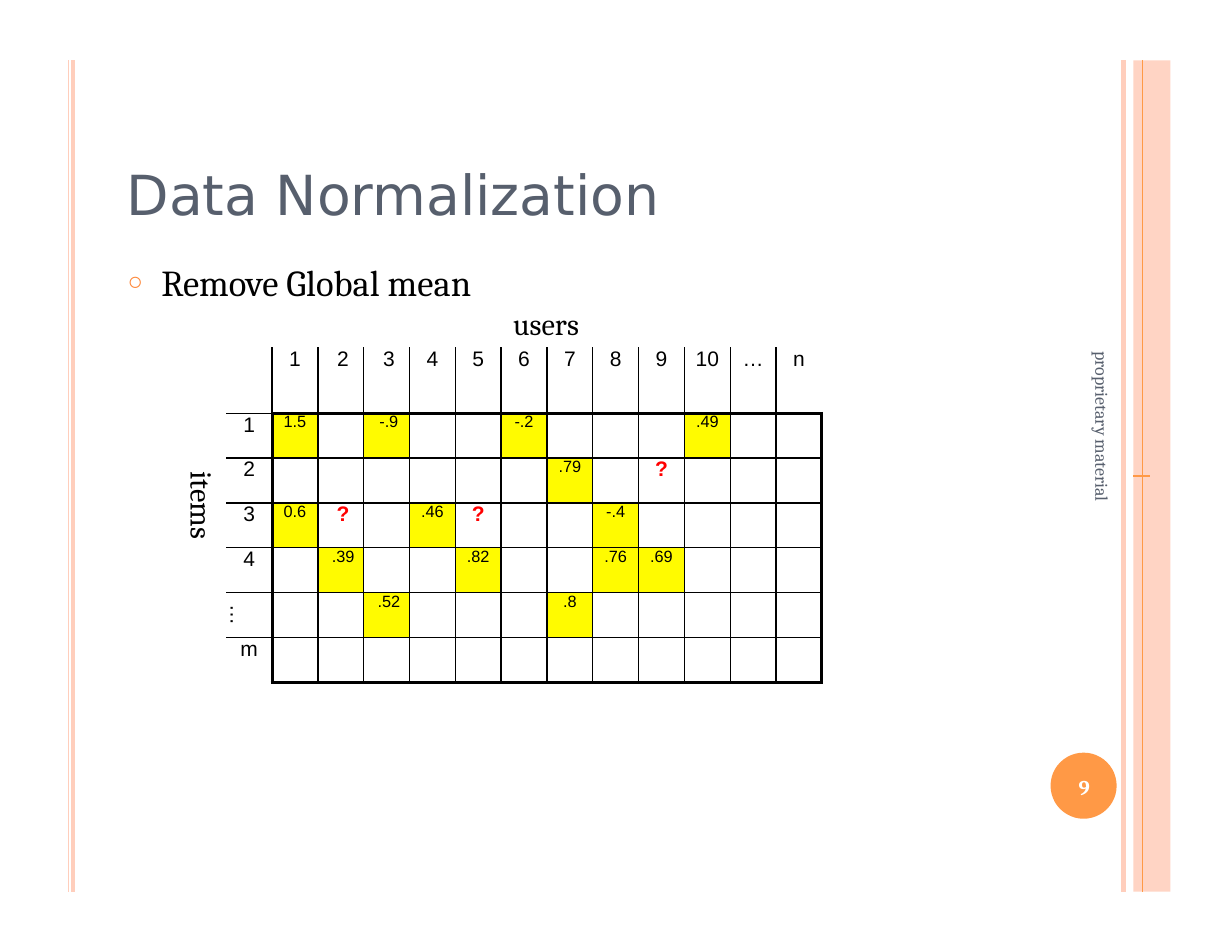
from dataclasses import dataclass
from typing import Any, NamedTuple, Optional

from lxml import etree
from pptx import Presentation
from pptx.dml import color
from pptx.enum import shapes, text
from pptx.oxml import ns
from pptx.util import Emu, Inches, Pt


@dataclass(frozen=True)
class Theme:
    peach: str = "FFCEBC"
    orange: str = "FF9946"
    bullet: str = "FE8637"
    slate: str = "575F6D"
    black: str = "000000"
    white: str = "FFFFFF"
    yellow: str = "FFFB00"
    red: str = "FF0000"
    serif: str = "Cambria"
    sans: str = "Arial"
    display: str = "DejaVu Sans"
    title: float = 35.5
    body: float = 23.5
    axis: float = 19.5
    label: float = 13.5
    footer: float = 11.5
    value: float = 10.5
    thin: float = 0.99
    thick: float = 2.23


class Box(NamedTuple):
    column: float
    row: float
    columns: float
    rows: float


class Rule(NamedTuple):
    box: Box
    colour: str
    weight: float


class Label(NamedTuple):
    words: str
    box: Box
    size: float
    colour: str
    leading: float
    vertical: bool = False
    bold: bool = False
    centred: bool = False


THEME = Theme()
GRID_COLUMNS, GRID_ROWS = 110, 85
WIDTH, HEIGHT = Inches(11), Inches(8.5)
TOP, TALL = 5.4, 74.2

RULES = [
    Rule(Box(100.3, TOP, 0, TALL), THEME.peach, 2.97),
    Rule(Box(6.5, TOP, 0, TALL), THEME.peach, 2.67),
    Rule(Box(6.1, TOP, 0, TALL), THEME.peach, 0.89),
    Rule(Box(101.2, 42.5, 1.5, 0), THEME.orange, 1.48),
    Rule(Box(102, TOP, 0, TALL), THEME.orange, 0.74),
]
LABELS = [
    Label("9", Box(95.4, 69.3, 2.8, 2.2), THEME.label, THEME.white, 15.1, bold=True, centred=True),
    Label("items", Box(16.4, 42.1, 3, 7.3), THEME.axis, THEME.black, 21.1, vertical=True),
    Label("proprietary material", Box(97.4, 31.4, 1.9, 16), THEME.footer, THEME.slate, 13.1, vertical=True),
]
USERS = ["1", "2", "3", "4", "5", "6", "7", "8", "9", "10", "…", "n"]
ITEMS = ["1", "2", "3", "4", "…", "m"]
RATINGS = {
    (1, 1): "1.5", (1, 3): "-.9", (1, 6): "-.2", (1, 10): ".49",
    (2, 7): ".79", (2, 9): "?",
    (3, 1): "0.6", (3, 2): "?", (3, 4): ".46", (3, 5): "?", (3, 8): "-.4",
    (4, 2): ".39", (4, 5): ".82", (4, 8): ".76", (4, 9): ".69",
    (5, 3): ".52", (5, 7): ".8",
}


def place(box: Box) -> tuple[Emu, ...]:
    across, down = WIDTH / GRID_COLUMNS, HEIGHT / GRID_ROWS
    return tuple(Emu(round(n * unit)) for n, unit in zip(box, (across, down, across, down)))


def apply(target: Any, values: dict[str, Any]) -> None:
    for name, value in values.items():
        setattr(target, name, value)


def rgb(code: str) -> color.RGBColor:
    return color.RGBColor.from_string(code)


def write(paragraph: Any, words: str, size: float, colour: str, family: str, bold: bool = False) -> None:
    run = paragraph.add_run()
    run.text = words
    apply(run.font, {"size": Pt(size), "name": family, "bold": bold})
    run.font.color.rgb = rgb(colour)


def prepare(shape: Any, box: Box, top: float = 0) -> Any:
    apply(shape, dict(zip(("left", "top", "width", "height"), place(box))))
    apply(shape.text_frame, {
        "margin_left": 0, "margin_top": Inches(top), "margin_right": 0, "margin_bottom": 0,
        "word_wrap": True, "auto_size": text.MSO_AUTO_SIZE.NONE,
        "vertical_anchor": text.MSO_ANCHOR.TOP,
    })
    return shape.text_frame


def draw_rule(slide: Any, rule: Rule) -> None:
    left, top, width, height = place(rule.box)
    line = slide.shapes.add_connector(shapes.MSO_CONNECTOR.STRAIGHT, left, top, left + width, top + height)
    line.line.color.rgb = rgb(rule.colour)
    line.line.width = Pt(rule.weight)
    etree.SubElement(line.element.spPr, ns.qn("a:effectLst"))


def draw_solid(slide: Any, kind: Any, box: Box, colour: str, opacity: int = 100) -> None:
    shape = slide.shapes.add_shape(kind, *place(box))
    shape.shadow.inherit = False
    shape.fill.solid()
    shape.fill.fore_color.rgb = rgb(colour)
    shape.line.fill.background()
    if opacity < 100:
        fill = next(shape.element.iter(ns.qn("a:srgbClr")))
        etree.SubElement(fill, ns.qn("a:alpha"), val=str(opacity * 1000))


def draw_label(slide: Any, label: Label) -> None:
    shape = slide.shapes.add_textbox(*place(label.box))
    frame = prepare(shape, label.box)
    if label.vertical:
        next(shape.element.iter(ns.qn("a:bodyPr"))).set("vert", "vert")
    paragraph = frame.paragraphs[0]
    paragraph.line_spacing = Pt(label.leading)
    if label.centred:
        paragraph.alignment = text.PP_ALIGN.CENTER
    write(paragraph, label.words, label.size, label.colour, THEME.serif, label.bold)


def fill_placeholders(slide: Any) -> None:
    title = prepare(slide.shapes.title, Box(11.3, 9.9, 87.3, 10.4), 0.44).paragraphs[0]
    title.alignment = text.PP_ALIGN.LEFT
    write(title, "Data Normalization", THEME.title, THEME.slate, THEME.display)

    frame = prepare(slide.placeholders[1], Box(11.3, 23.2, 40.4, 7.3))
    topic, users = frame.paragraphs[0], frame.add_paragraph()
    apply(topic, {"space_before": Pt(0)})
    apply(users, {"space_before": Pt(1.2), "alignment": text.PP_ALIGN.RIGHT})
    write(topic, "Remove Global mean", THEME.body, THEME.black, THEME.serif)
    write(users, "users", THEME.axis, THEME.black, THEME.serif)
    bullet = topic._p.get_or_add_pPr()
    apply_indent(bullet, 0.31, -0.3)
    tint = etree.SubElement(bullet, ns.qn("a:buClr"))
    etree.SubElement(tint, ns.qn("a:srgbClr"), val=THEME.bullet)
    etree.SubElement(bullet, ns.qn("a:buSzPct"), val="70000")
    etree.SubElement(bullet, ns.qn("a:buChar"), char="○")
    plain = users._p.get_or_add_pPr()
    apply_indent(plain, 0, 0)
    etree.SubElement(plain, ns.qn("a:buNone"))


def apply_indent(properties: Any, left: float, first: float) -> None:
    properties.set("marL", str(Inches(left)))
    properties.set("indent", str(Inches(first)))


def edge_weight(boundary: int, last: int, crossing: int) -> Optional[float]:
    if boundary == 0 or (boundary == last and crossing == 0):
        return None
    return THEME.thick if boundary in (1, last) and crossing > 0 else THEME.thin


def draw_borders(cell: Any, row: int, column: int, rows: int, columns: int) -> None:
    edges = {
        "L": edge_weight(column, columns, row), "R": edge_weight(column + 1, columns, row),
        "T": edge_weight(row, rows, column), "B": edge_weight(row + 1, rows, column),
    }
    properties = cell._tc.get_or_add_tcPr()
    for side, weight in edges.items():
        line = etree.SubElement(properties, ns.qn(f"a:ln{side}"), w=str(Pt(weight or 0)))
        paint = etree.SubElement(line, ns.qn("a:solidFill" if weight else "a:noFill"))
        if weight:
            etree.SubElement(paint, ns.qn("a:srgbClr"), val=THEME.black)


def fill_cell(cell: Any, row: int, column: int) -> None:
    apply(cell, {f"margin_{side}": 0 for side in ("left", "right", "top", "bottom")})
    paragraph = cell.text_frame.paragraphs[0]
    apply(paragraph, {"alignment": text.PP_ALIGN.CENTER})
    paragraph.font.size = Pt(THEME.value)
    words = RATINGS.get((row, column), "")
    rated = words not in ("", "?")
    if row == 0 and column > 0:
        words = USERS[column - 1]
    elif column == 0 and row > 0:
        words = ITEMS[row - 1]
        if words == "…":
            cell._tc.get_or_add_tcPr().set("vert", "vert")
    if words:
        unknown = words == "?"
        if column in (2, 3):
            apply_indent(paragraph._p.get_or_add_pPr(), 0.04, 0)
        write(paragraph, words, THEME.value if rated else THEME.label,
              THEME.red if unknown else THEME.black, THEME.sans, unknown)
    if rated:
        cell.fill.solid()
        cell.fill.fore_color.rgb = rgb(THEME.yellow)
    else:
        cell.fill.background()


def draw_ratings(slide: Any) -> None:
    rows, columns = len(ITEMS) + 1, len(USERS) + 1
    frame = slide.shapes.add_table(rows, columns, *place(Box(20.2, 31, 53.2, 29.9)))
    table = frame.table
    apply(table, {"first_row": False, "horz_banding": False})
    next(frame.element.iter(ns.qn("a:tableStyleId"))).text = "{2D5ABB26-0587-4C30-8999-92F81FD0307C}"
    for row in range(rows):
        table.rows[row].height = Inches(0.4 if row else 0.59)
        for column in range(columns):
            cell = table.cell(row, column)
            draw_borders(cell, row, column, rows, columns)
            fill_cell(cell, row, column)


def main() -> None:
    presentation = Presentation()
    apply(presentation, {"slide_width": WIDTH, "slide_height": HEIGHT})
    slide = presentation.slides.add_slide(presentation.slide_layouts[1])
    draw_solid(slide, shapes.MSO_SHAPE.RECTANGLE, Box(101.2, TOP, 3.3, TALL), THEME.peach, 87)
    for rule in RULES:
        draw_rule(slide, rule)
    draw_solid(slide, shapes.MSO_SHAPE.OVAL, Box(93.8, 67.2, 5.9, 5.9), THEME.orange)
    fill_placeholders(slide)
    draw_ratings(slide)
    for label in LABELS:
        draw_label(slide, label)
    presentation.save("out.pptx")


main()
